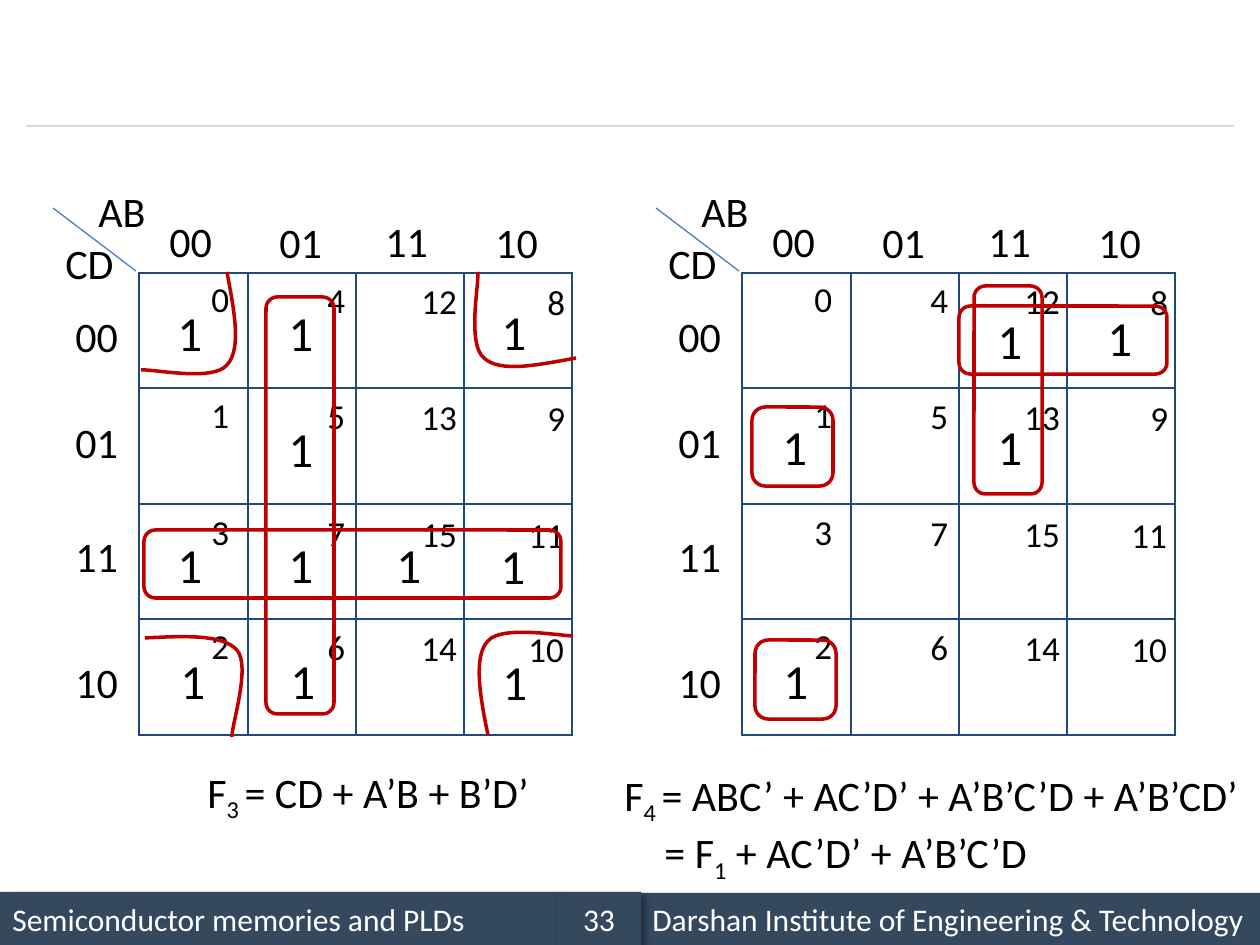
"""Build the slide with the Karnaugh maps of F3 and F4."""
from typing import NamedTuple

from lxml.etree import SubElement
from pptx import Presentation
from pptx.dml.color import RGBColor
from pptx.enum.shapes import MSO_CONNECTOR, MSO_SHAPE
from pptx.enum.text import MSO_ANCHOR, MSO_AUTO_SIZE, PP_ALIGN
from pptx.oxml import parse_xml
from pptx.oxml.ns import nsdecls, qn
from pptx.util import Emu, Pt

SCALE = 914400 / 126
BLACK = RGBColor(0x00, 0x00, 0x00)
WHITE = RGBColor(0xFF, 0xFF, 0xFF)
SLATE = RGBColor(0x34, 0x49, 0x5E)
GREY = RGBColor(0xD9, 0xD9, 0xD9)
BLUE = RGBColor(0x4B, 0x7E, 0xBC)
NAVY = RGBColor(0x1F, 0x49, 0x7D)
RED = RGBColor(0xC0, 0x00, 0x00)
GRAY = (0, 1, 3, 2)
COLS = (109, 108, 108, 108)
ROWS = (115, 116, 115, 116)


class Label(NamedTuple):
    text: str
    x: int
    y: int
    w: int
    h: int
    size: int


class Box(NamedTuple):
    x: int
    y: int
    w: int
    h: int


class Bar(NamedTuple):
    text: str
    box: Box
    align: PP_ALIGN


class Part(NamedTuple):
    text: str
    sub: bool = False


HEADS = (
    Label("AB", 86, 179, 73, 63, 24), Label("CD", 53, 231, 74, 63, 24),
    *(Label(f"{n:02b}", x, y, 68, 63, 24)
      for n, x, y in zip(GRAY, (157, 267, 373, 483), (209, 210, 209, 210))),
    *(Label(f"{n:02b}", 63, y, 68, 63, 24)
      for n, y in zip(GRAY, (304, 410, 524, 650))),
)
ONES = (
    (168, 644), (165, 528), (165, 296), (278, 644), (276, 528), (276, 296),
    (276, 412), (490, 645), (488, 529), (489, 295), (384, 528),
    (771, 644), (985, 410), (985, 304), (770, 410), (1095, 301),
)
LOOPS = (
    Box(266, 297, 68, 417), Box(144, 530, 417, 68), Box(752, 407, 81, 79),
    Box(974, 286, 68, 208), Box(755, 640, 81, 79), Box(959, 306, 208, 68),
)
ARCS = (
    ((227, 272), (234, 310), (242, 349), (227, 365),
     (213, 382), (154, 369), (141, 370)),
    ((576, 358), (538, 365), (500, 373), (484, 358),
     (467, 344), (479, 285), (478, 272)),
    ((145, 638), (184, 636), (222, 634), (237, 650),
     (251, 667), (232, 723), (232, 737)),
    ((488, 735), (480, 697), (473, 656), (488, 641),
     (501, 625), (561, 636), (573, 636)),
)
BARS = (
    Bar("Semiconductor memories and PLDs", Box(0, 892, 557, 53), PP_ALIGN.LEFT),
    Bar("Darshan Institute of Engineering & Technology",
        Box(640, 893, 620, 52), PP_ALIGN.LEFT),
    Bar("33", Box(557, 892, 84, 53), PP_ALIGN.CENTER),
)
F3 = ((Part("F"), Part("3 ", True), Part("= CD + A’B + B’D’")),)
F4 = (
    (Part("F"), Part("4 ", True), Part("= ABC’ + AC’D’ + A’B’C’D + A’B’CD’")),
    (Part("= F"), Part("1", True), Part(" + AC’D’ + A’B’C’D")),
)


def px(n: float) -> Emu:
    """Turn pixels into EMU."""
    return Emu(round(n * SCALE))


def put(obj, form: dict) -> None:
    """Set each format value on an object."""
    for key, val in form.items():
        setattr(obj, key, val)


def face(font, size: int, tint: RGBColor = BLACK) -> None:
    """Format a font."""
    put(font, {"name": "Calibri", "size": Pt(size)})
    font.color.rgb = tint


def pen(line, tint: RGBColor, width: float) -> None:
    """Format a line."""
    line.color.rgb = tint
    line.width = Pt(width)


def text(slide, box: Box, wrap: bool):
    """Add a text box and return its frame."""
    frame = slide.shapes.add_textbox(*map(px, box)).text_frame
    put(frame, {"word_wrap": wrap, "auto_size": MSO_AUTO_SIZE.SHAPE_TO_FIT_TEXT})
    return frame


def label(slide, item: Label, dx: int = 0) -> None:
    """Add a single short label."""
    frame = text(slide, Box(item.x + dx, item.y, item.w, item.h), False)
    run = frame.paragraphs[0].add_run()
    run.text = item.text
    face(run.font, item.size)


def rule(slide, x1: int, y1: int, x2: int, y2: int, tint: RGBColor) -> None:
    """Add a thin straight line."""
    line = slide.shapes.add_connector(
        MSO_CONNECTOR.STRAIGHT, *map(px, (x1, y1, x2, y2)))
    pen(line.line, tint, 0.75)
    SubElement(line._element.spPr, qn("a:effectLst"))


def edge(cell) -> None:
    """Clear a cell and give it four borders."""
    cell.fill.background()
    props = cell._tc.get_or_add_tcPr()
    for i, side in enumerate("LRTB"):
        props.insert(i, parse_xml(
            f'<a:ln{side} {nsdecls("a")} w="12700"><a:solidFill>'
            f'<a:srgbClr val="{NAVY}"/></a:solidFill></a:ln{side}>'))


def grid(slide, dx: int) -> None:
    """Add a map with its headings and cell numbers."""
    table = slide.shapes.add_table(
        4, 4, *map(px, (139 + dx, 273, sum(COLS), sum(ROWS)))).table
    put(table, {"first_row": False, "horz_banding": False})
    for col, w in zip(table.columns, COLS):
        col.width = px(w)
    for row, h in zip(table.rows, ROWS):
        row.height = px(h)
    for cell in table.iter_cells():
        edge(cell)
    rule(slide, 136 + dx, 271, 53 + dx, 208, BLUE)
    for head in HEADS:
        label(slide, head, dx)
    for c, right in enumerate((242, 358, 471, 578)):
        for r, y in enumerate((271, 387, 504, 618)):
            num = str(4 * GRAY[c] + GRAY[r])
            w = 43 if len(num) == 1 else 62
            label(slide, Label(num, right - w, y + c, w, 55, 20), dx)


def loop(slide, box: Box) -> None:
    """Add a rounded outline around a group of ones."""
    shape = slide.shapes.add_shape(MSO_SHAPE.ROUNDED_RECTANGLE, *map(px, box))
    shape.shadow.inherit = False
    shape.fill.background()
    pen(shape.line, RED, 2)


def curve(pts: tuple, steps: int = 16) -> list:
    """Return points along a chain of cubic curves."""
    out = [pts[0]]
    for k in range(0, len(pts) - 1, 3):
        for i in range(1, steps + 1):
            t = i / steps
            mix = ((1 - t) ** 3, 3 * t * (1 - t) ** 2, 3 * t * t * (1 - t), t ** 3)
            out.append(tuple(sum(m * p[d] for m, p in zip(mix, pts[k:k + 4]))
                             for d in (0, 1)))
    return [(px(x), px(y)) for x, y in out]


def arc(slide, pts: tuple) -> None:
    """Add an open corner outline."""
    first, *rest = curve(pts)
    build = slide.shapes.build_freeform(*first)
    build.add_line_segments(rest, close=False)
    shape = build.convert_to_shape()
    shape.shadow.inherit = False
    shape.fill.background()
    pen(shape.line, RED, 2)


def sums(slide, box: Box, lines: tuple) -> None:
    """Add a formula with subscripts."""
    frame = text(slide, box, True)
    for i, parts in enumerate(lines):
        para = frame.add_paragraph() if i else frame.paragraphs[0]
        if i:
            para._p.get_or_add_pPr().set("marL", str(px(40)))
        for part in parts:
            run = para.add_run()
            run.text = part.text
            face(run.font, 24)
            if part.sub:
                run._r.get_or_add_rPr().set("baseline", "-25000")


def foot(slide, bar: Bar) -> None:
    """Add one footer bar with a soft shadow."""
    shape = slide.shapes.add_shape(MSO_SHAPE.RECTANGLE, *map(px, bar.box))
    shape.shadow.inherit = False
    shape.fill.solid()
    shape.fill.fore_color.rgb = SLATE
    shape.line.fill.background()
    shape._element.spPr.find(qn("a:effectLst")).append(parse_xml(
        f'<a:outerShdw {nsdecls("a")} blurRad="50800" dist="38100" dir="2700000">'
        '<a:srgbClr val="000000"><a:alpha val="40000"/></a:srgbClr></a:outerShdw>'))
    frame = shape.text_frame
    put(frame, {"vertical_anchor": MSO_ANCHOR.MIDDLE, "word_wrap": True})
    para = frame.paragraphs[0]
    put(para, {"text": bar.text, "alignment": bar.align})
    face(para.runs[0].font, 18, WHITE)


def main() -> None:
    """Build and save the slide."""
    deck = Presentation()
    put(deck, {"slide_width": px(1260), "slide_height": px(945)})
    slide = deck.slides.add_slide(deck.slide_layouts[6])
    rule(slide, 26, 126, 1234, 126, GREY)
    for bar in BARS:
        foot(slide, bar)
    for dx in (0, 603):
        grid(slide, dx)
    for x, y in ONES:
        label(slide, Label("1", x, y, 50, 79, 28))
    for box in LOOPS:
        loop(slide, box)
    for pts in ARCS:
        arc(slide, pts)
    sums(slide, Box(195, 760, 350, 63), F3)
    sums(slide, Box(612, 763, 646, 115), F4)
    deck.save("out.pptx")


if __name__ == "__main__":
    main()
